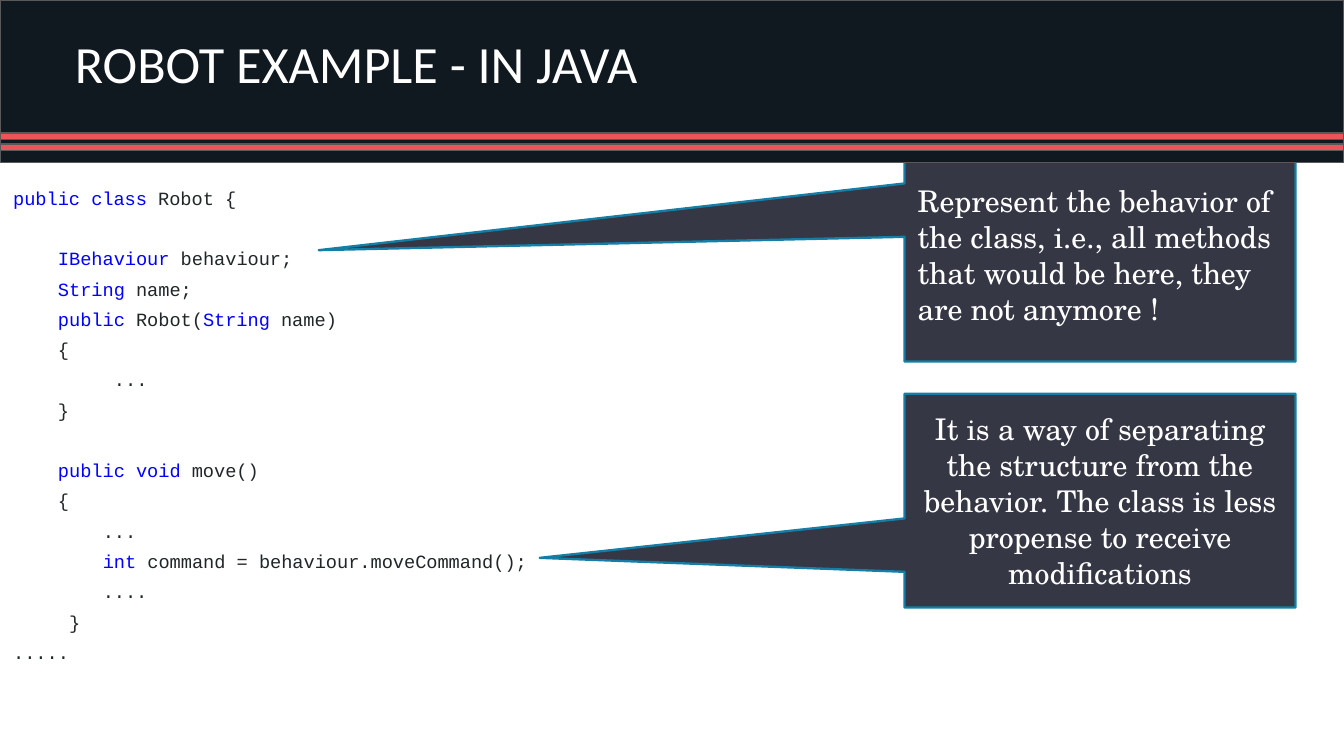
from pptx import Presentation
from pptx import util as u
from pptx.dml.color import RGBColor
from pptx.enum import shapes, text

Inches, Pt = u.Inches, u.Pt
SHAPE, ALIGN, ANCHOR = shapes.MSO_SHAPE, text.PP_ALIGN, text.MSO_ANCHOR


def tint(target, color):
    """Give a fill or a font a solid colour."""
    if hasattr(target, "solid"):
        target.solid()
        target.fore_color.rgb = RGBColor.from_string(color)
    else:
        target.color.rgb = RGBColor.from_string(color)


def block(kind, box, fill, line, width):
    shape = slide.shapes.add_shape(kind, *map(Inches, box))
    shape.shadow.inherit = False
    tint(shape.fill, fill)
    tint(shape.line.fill, line)
    shape.line.width = Pt(width)
    return shape


prs = Presentation()
prs.slide_width = Inches(10)
prs.slide_height = prs.slide_width * 9 // 16
slide = prs.slides.add_slide(prs.slide_layouts[6])

# Java code: (indent in characters, line with keywords between bars, gap above)
code = [
    (0, "|public| |class| Robot {", False),
    (4, "|IBehaviour| behaviour;", True),
    (4, "|String| name;", False),
    (4, "|public| Robot(|String| name)", False),
    (4, "{", False),
    (9, "...", False),
    (4, "}", False),
    (4, "|public| |void| move()", True),
    (4, "{", False),
    (8, "...", False),
    (8, "|int| command = behaviour.moveCommand();", False),
    (8, "....", False),
    (5, "}", False),
    (0, ".....", False),
]
pitch = Pt(16.2)
frame = slide.shapes.add_textbox(
    Inches(0), Inches(1.19), Inches(10), Inches(4.62)).text_frame
frame.word_wrap = True
frame.margin_top = Inches(0.14)
for i, (indent, line, gap) in enumerate(code):
    para = frame.paragraphs[0] if i == 0 else frame.add_paragraph()
    para.line_spacing = pitch
    para.space_before = pitch if gap else Pt(0)
    para._p.get_or_add_pPr().set("marL", str(Pt(6 * indent)))
    for j, part in enumerate(line.split("|")):
        if part:
            run = para.add_run()
            run.text = part
            run.font.name, run.font.size = "Courier New", Pt(10)
            tint(run.font, "0000FF" if j % 2 else "202729")

# Callouts pointing at the code
notes = [
    (1.1, (-1.998, -0.021), ALIGN.LEFT,
     "Represent the behavior of the class, i.e., all methods that would be "
     "here, they are not anymore !"),
    (2.93, (-1.433, 0.268), ALIGN.CENTER,
     "It is a way of separating the structure from the behavior. The class is "
     "less propense to receive modifications"),
]
for top, tip, align, words in notes:
    note = block(SHAPE.RECTANGULAR_CALLOUT, (6.73, top, 2.91, 1.59),
                 "353744", "147EA6", 1.25)
    note.adjustments[0], note.adjustments[1] = tip
    frame = note.text_frame
    frame.word_wrap = True
    frame.vertical_anchor = ANCHOR.MIDDLE
    para = frame.paragraphs[0]
    para.text = words
    para.alignment = align
    para.font.name, para.font.size = "TeX Gyre Schola", Pt(16)
    tint(para.font, "FFFFFF")

# Header band with two stripes
for top, height, fill in [(0, 1.21, "101820"), (0.99, 0.05, "EC5459"),
                          (1.07, 0.05, "EC5459")]:
    block(SHAPE.RECTANGLE, (0, top, 10, height), fill, "595959", 0.75)

# Title
frame = slide.shapes.add_textbox(
    Inches(0.46), Inches(0.05), Inches(7.97), Inches(0.92)).text_frame
frame.word_wrap = True
frame.vertical_anchor = ANCHOR.MIDDLE
para = frame.paragraphs[0]
para.text = "ROBOT EXAMPLE - IN JAVA"
para.line_spacing = 0.8
para.font.name, para.font.size = "Calibri", Pt(28)
tint(para.font, "FFFFFF")

prs.save("out.pptx")
